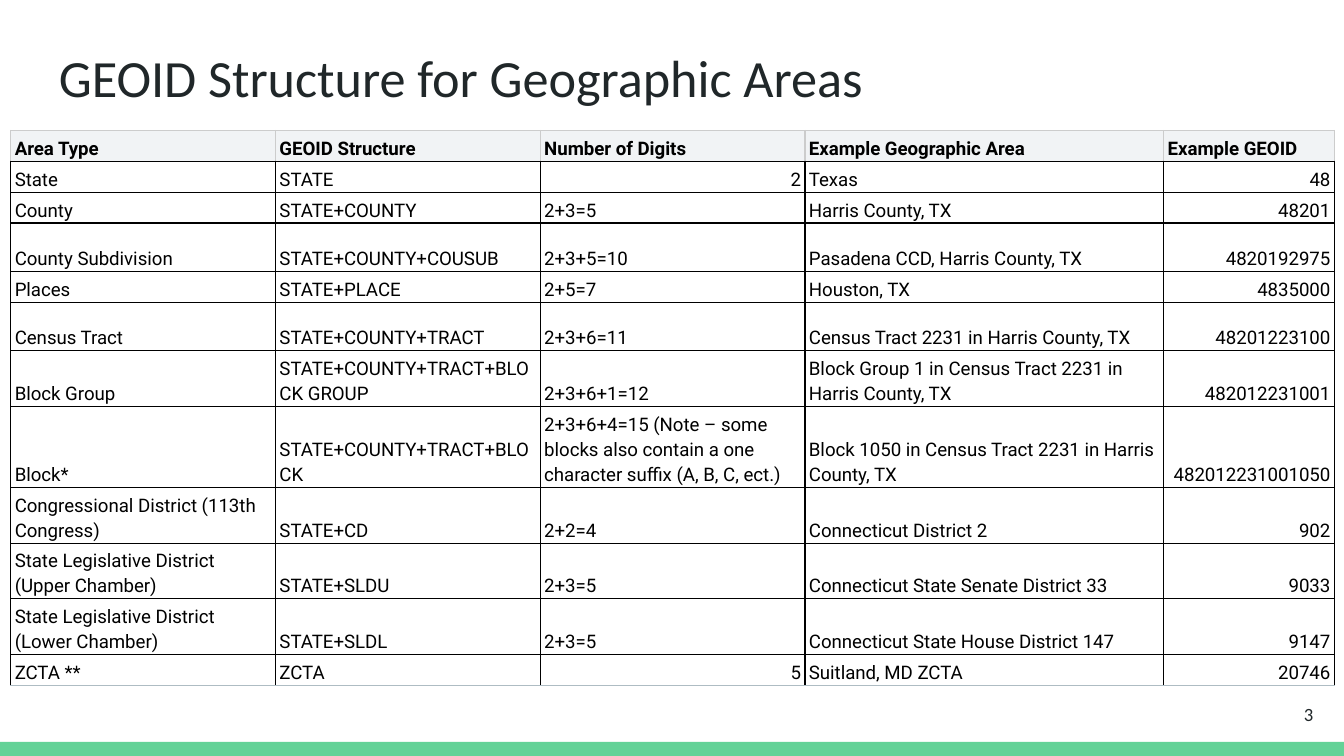
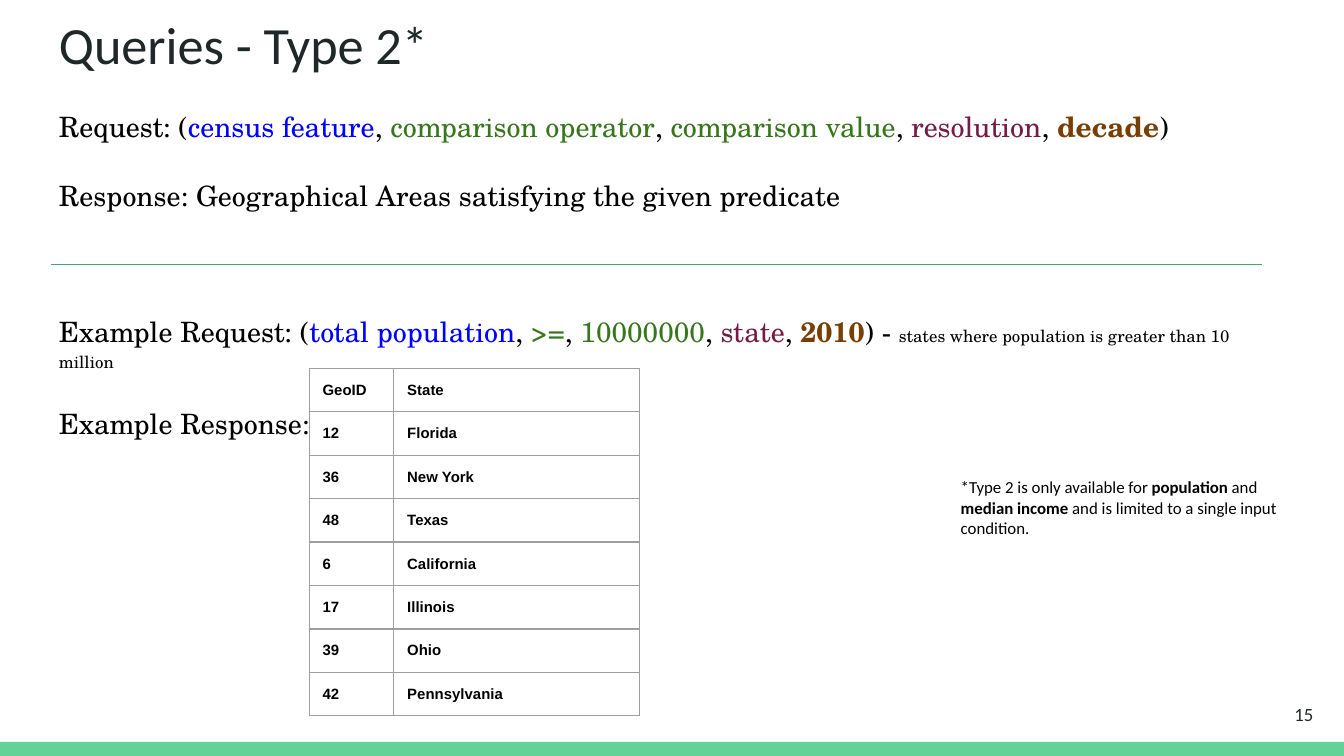
from lxml import etree
from pptx import Presentation
from pptx.dml.color import RGBColor
from pptx.enum.shapes import MSO_CONNECTOR, MSO_SHAPE
from pptx.enum.text import MSO_ANCHOR, PP_ALIGN
from pptx.oxml.ns import qn
from pptx.util import Inches, Pt

RECTANGLE = MSO_SHAPE.RECTANGLE
STRAIGHT = MSO_CONNECTOR.STRAIGHT
TOP, MIDDLE, BOTTOM = MSO_ANCHOR.TOP, MSO_ANCHOR.MIDDLE, MSO_ANCHOR.BOTTOM
LEFT, RIGHT = PP_ALIGN.LEFT, PP_ALIGN.RIGHT

SLIDE_WIDTH = 10
SLIDE_HEIGHT = SLIDE_WIDTH * 9 / 16
BLACK, WHITE, INK = "000000", "FFFFFF", "202729"
BAND_GREEN, RULE_GREEN = "63D297", "4BA173"
HEADER_FILL, HEADER_BORDER, LAST_BORDER = "F1F3F5", "CCCCCC", "AEBCC3"
STATE_BORDER = "9E9E9E"
BLUE, GREEN, PLUM, BROWN = "0000FF", "38761D", "741B47", "783F04"
TITLE_FONT, GEOID_FONT, STATE_FONT = "Calibri", "Roboto", "Arial"
BODY_FONT = "TeX Gyre Schola"

GEOID_COLUMNS = [1.97, 1.97, 1.97, 2.67, 1.27]
GEOID_HEIGHTS = [0.23, 0.23, 0.23, 0.36, 0.23, 0.36,
                 0.36, 0.52, 0.36, 0.36, 0.36, 0.23]
GEOID_ROWS = [
    ["Area Type", "GEOID Structure", "Number of Digits",
     "Example Geographic Area", "Example GEOID"],
    ["State", "STATE", "2", "Texas", "48"],
    ["County", "STATE+COUNTY", "2+3=5", "Harris County, TX", "48201"],
    ["County Subdivision", "STATE+COUNTY+COUSUB", "2+3+5=10",
     "Pasadena CCD, Harris County, TX", "4820192975"],
    ["Places", "STATE+PLACE", "2+5=7", "Houston, TX", "4835000"],
    ["Census Tract", "STATE+COUNTY+TRACT", "2+3+6=11",
     "Census Tract 2231 in Harris County, TX", "48201223100"],
    ["Block Group", "STATE+COUNTY+TRACT+BLOCK GROUP", "2+3+6+1=12",
     "Block Group 1 in Census Tract 2231 in Harris County, TX",
     "482012231001"],
    ["Block*", "STATE+COUNTY+TRACT+BLOCK",
     "2+3+6+4=15 (Note – some blocks also contain a one character suffix "
     "(A, B, C, ect.)",
     "Block 1050 in Census Tract 2231 in Harris County, TX",
     "482012231001050"],
    ["Congressional District (113th Congress)", "STATE+CD", "2+2=4",
     "Connecticut District 2", "902"],
    ["State Legislative District (Upper Chamber)", "STATE+SLDU", "2+3=5",
     "Connecticut State Senate District 33", "9033"],
    ["State Legislative District (Lower Chamber)", "STATE+SLDL", "2+3=5",
     "Connecticut State House District 147", "9147"],
    ["ZCTA **", "ZCTA", "5", "Suitland, MD ZCTA", "20746"],
]
STATE_COLUMNS = [0.63, 1.83]
STATE_ROWS = [
    ["GeoID", "State"], ["12", "Florida"], ["36", "New York"],
    ["48", "Texas"], ["6", "California"], ["17", "Illinois"],
    ["39", "Ohio"], ["42", "Pennsylvania"],
]


def color(hex_string):
    return RGBColor.from_string(hex_string)


def add_run(paragraph, text, font, size, hex_color=BLACK, bold=False):
    run = paragraph.add_run()
    run.text = text
    run.font.name = font
    run.font.size = Pt(size)
    run.font.bold = bold
    run.font.color.rgb = color(hex_color)


def add_text_frame(slide, left, top, width, height, anchor=TOP):
    box = slide.shapes.add_textbox(
        Inches(left), Inches(top), Inches(width), Inches(height))
    frame = box.text_frame
    frame.word_wrap = True
    frame.vertical_anchor = anchor
    frame.margin_left = frame.margin_right = Inches(0.1)
    frame.margin_top = frame.margin_bottom = Inches(0.1)
    return frame


def add_base_slide(presentation, title, title_top, number):
    """Add a slide with the green band, title and slide number."""
    slide = presentation.slides.add_slide(presentation.slide_layouts[6])
    slide.background.fill.solid()
    slide.background.fill.fore_color.rgb = color(WHITE)
    band = slide.shapes.add_shape(
        RECTANGLE, 0, Inches(5.52), Inches(SLIDE_WIDTH), Inches(0.11))
    band.shadow.inherit = False
    band.fill.solid()
    band.fill.fore_color.rgb = color(BAND_GREEN)
    band.line.fill.background()
    frame = add_text_frame(slide, 0.34, title_top, 9.32, 0.63)
    add_run(frame.paragraphs[0], title, TITLE_FONT, 28, INK)
    frame = add_text_frame(slide, 9.27, 5.1, 0.6, 0.43, MIDDLE)
    frame.paragraphs[0].alignment = RIGHT
    add_run(frame.paragraphs[0], str(number), TITLE_FONT, 10, INK)
    return slide


def set_borders(cell, sides, top, bottom):
    properties = cell._tc.get_or_add_tcPr()
    borders = {"lnL": sides, "lnR": sides, "lnT": top, "lnB": bottom}
    for index, (tag, hex_color) in enumerate(borders.items()):
        line = etree.Element(qn(f"a:{tag}"), w=str(Pt(0.75)))
        fill = etree.SubElement(line, qn("a:solidFill"))
        etree.SubElement(fill, qn("a:srgbClr"), val=hex_color)
        properties.insert(index, line)


def add_table(slide, left, top, columns, heights):
    frame = slide.shapes.add_table(
        len(heights), len(columns), Inches(left), Inches(top),
        Inches(sum(columns)), Inches(sum(heights)))
    table = frame.table
    table.first_row = table.horz_banding = False
    for column, width in zip(table.columns, columns):
        column.width = Inches(width)
    for row, height in zip(table.rows, heights):
        row.height = Inches(height)
    return table


def set_cell(cell, text, font, size, bold, fill, margins, anchor=TOP):
    """Write one cell; margins are (side, top, bottom) in inches."""
    side, top, bottom = margins
    cell.margin_left = cell.margin_right = Inches(side)
    cell.margin_top = Inches(top)
    cell.margin_bottom = Inches(bottom)
    cell.vertical_anchor = anchor
    if fill:
        cell.fill.solid()
        cell.fill.fore_color.rgb = color(fill)
    else:
        cell.fill.background()
    add_run(cell.text_frame.paragraphs[0], text, font, size, bold=bold)


def add_geoid_table(slide):
    table = add_table(slide, 0.08, 0.97, GEOID_COLUMNS, GEOID_HEIGHTS)
    last = len(GEOID_ROWS) - 1
    for row, texts in enumerate(GEOID_ROWS):
        header = row == 0
        side = HEADER_BORDER if header else BLACK
        bottom = LAST_BORDER if row == last else BLACK
        for column, text in enumerate(texts):
            cell = table.cell(row, column)
            set_cell(cell, text, GEOID_FONT, 10, header,
                     HEADER_FILL if header else WHITE,
                     (0.03, 0.02, 0.01), BOTTOM)
            paragraph = cell.text_frame.paragraphs[0]
            paragraph.line_spacing = 1.15
            paragraph.alignment = RIGHT if text.isdigit() else LEFT
            set_borders(cell, side, side, bottom)


def add_state_table(slide):
    table = add_table(slide, 2.3, 2.74, STATE_COLUMNS,
                      [0.32] * len(STATE_ROWS))
    for row, texts in enumerate(STATE_ROWS):
        for column, text in enumerate(texts):
            cell = table.cell(row, column)
            set_cell(cell, text, STATE_FONT, 8, True, None, (0.1, 0.1, 0.09))
            set_borders(cell, STATE_BORDER, STATE_BORDER, STATE_BORDER)


def add_body_paragraph(frame, text, space_before=16):
    """Add a body line; the first one fills the empty paragraph."""
    first = frame.paragraphs[0]
    paragraph = frame.add_paragraph() if first.runs else first
    paragraph.line_spacing = 1.15
    paragraph.space_before = Pt(space_before)
    add_run(paragraph, text, BODY_FONT, 15)
    return paragraph


def add_query(paragraph, values, closing):
    """Add the five coloured query fields, parted by commas."""
    colors = [BLUE, GREEN, GREEN, PLUM, BROWN]
    for index, (value, hex_color) in enumerate(zip(values, colors)):
        if index:
            add_run(paragraph, ", ", BODY_FONT, 15)
        add_run(paragraph, value, BODY_FONT, 15, hex_color,
                bold=hex_color == BROWN)
    add_run(paragraph, closing, BODY_FONT, 15)


def add_query_text(slide):
    frame = add_text_frame(slide, 0.34, 0.68, 9.32, 3.74)
    request = add_body_paragraph(frame, "Request: (", 0)
    add_query(request, ["census feature", "comparison operator",
                        "comparison value", "resolution", "decade"], ")")
    add_body_paragraph(
        frame, "Response: Geographical Areas satisfying the given predicate")
    example = add_body_paragraph(frame, "Example Request: (", 52.5)
    add_query(example, ["total population", ">=", "10000000", "state",
                        "2010"], ") - ")
    add_run(example, "states where population is greater than 10 million",
            BODY_FONT, 9)
    add_body_paragraph(frame, "Example Response:")


def add_rule(slide, left, right, y):
    rule = slide.shapes.add_connector(
        STRAIGHT, Inches(left), Inches(y), Inches(right), Inches(y))
    rule.line.color.rgb = color(RULE_GREEN)
    rule.line.width = Pt(0.75)
    etree.SubElement(rule._element.spPr, qn("a:effectLst"))


def add_footnote(slide):
    frame = add_text_frame(slide, 7.05, 3.45, 2.69, 1.19)
    parts = [("*Type 2 is only available for ", False), ("population", True),
             (" and ", False), ("median income ", True),
             ("and is limited to a single input condition.", False)]
    for text, bold in parts:
        add_run(frame.paragraphs[0], text, TITLE_FONT, 9, bold=bold)


def main():
    presentation = Presentation()
    presentation.slide_width = Inches(SLIDE_WIDTH)
    presentation.slide_height = Inches(SLIDE_HEIGHT)

    slide = add_base_slide(
        presentation, "GEOID Structure for Geographic Areas", 0.24, 3)
    add_geoid_table(slide)

    slide = add_base_slide(presentation, "Queries - Type 2*", -0.01, 15)
    add_query_text(slide)
    add_rule(slide, 0.38, 9.39, 1.97)
    add_state_table(slide)
    add_footnote(slide)

    presentation.save("out.pptx")


if __name__ == "__main__":
    main()
